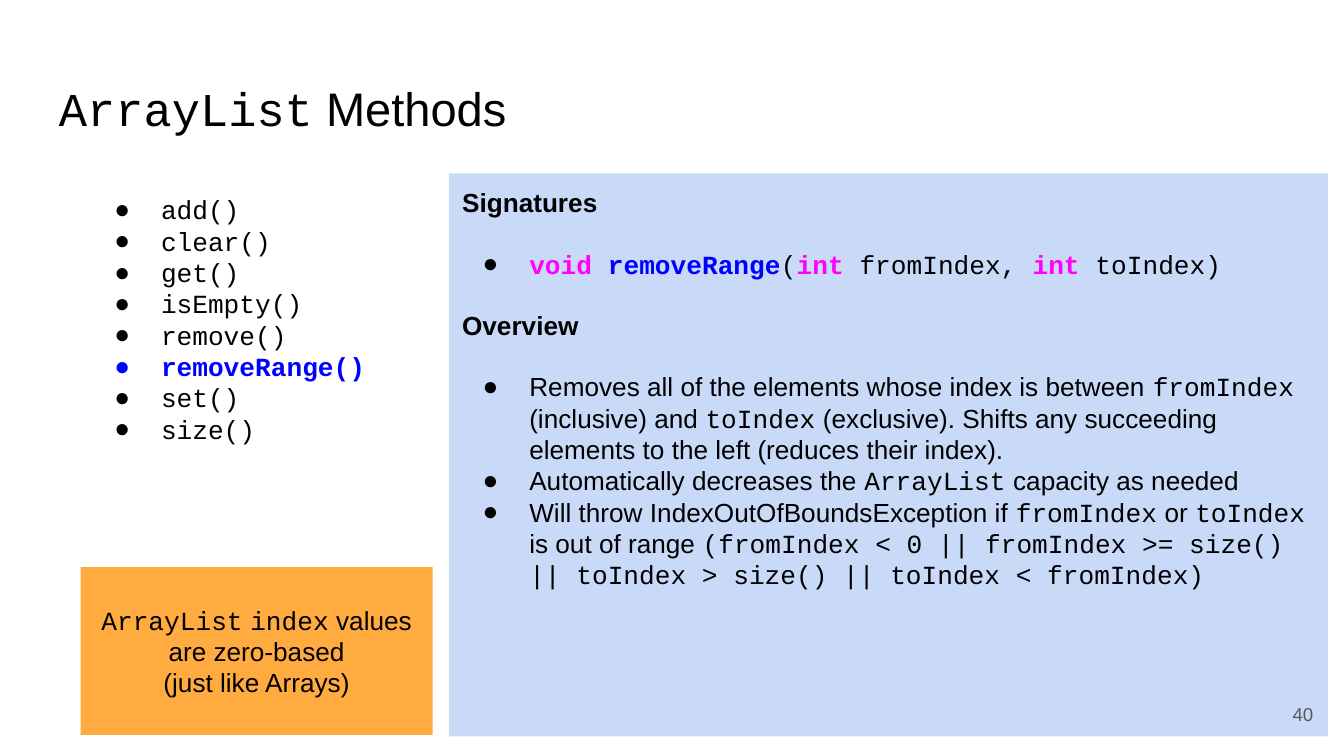
from lxml import etree
from pptx import Presentation
from pptx.dml.color import RGBColor
from pptx.enum.shapes import MSO_SHAPE
from pptx.enum.text import MSO_ANCHOR, PP_ALIGN
from pptx.oxml.ns import qn
from pptx.util import Pt

RECTANGLE = MSO_SHAPE.RECTANGLE
TOP, MIDDLE = MSO_ANCHOR.TOP, MSO_ANCHOR.MIDDLE
LEFT, CENTER, RIGHT = PP_ALIGN.LEFT, PP_ALIGN.CENTER, PP_ALIGN.RIGHT

BLACK = RGBColor(0x00, 0x00, 0x00)
BLUE = RGBColor(0x00, 0x00, 0xFF)
MAGENTA = RGBColor(0xFF, 0x00, 0xFF)
GRAY = RGBColor(0x59, 0x59, 0x59)
PALE_BLUE = RGBColor(0xC9, 0xDA, 0xF8)
ORANGE = RGBColor(0xFF, 0xAB, 0x40)

SANS, MONO = "Arial", "Courier New"
PROSE = (SANS, BLACK, False)
HEADING = (SANS, BLACK, True)
CODE = (MONO, BLACK, False)
KEYWORD = (MONO, MAGENTA, True)
METHOD = (MONO, BLUE, True)
PAGE = (SANS, GRAY, False)

BODY_SIZE = 14
SECTION_GAP = 16


class SlideBuilder:
    def __init__(self, slide):
        self.slide = slide
        self.inset = Pt(7.2)
        self.indent = Pt(36)
        self.hanging = Pt(25)

    def text_box(self, left, top, width, height, anchor=TOP):
        box = self.slide.shapes.add_textbox(Pt(left), Pt(top), Pt(width), Pt(height))
        return self.prepare(box.text_frame, anchor)

    def panel(self, left, top, width, height, fill, anchor=TOP):
        panel = self.slide.shapes.add_shape(
            RECTANGLE, Pt(left), Pt(top), Pt(width), Pt(height))
        panel.shadow.inherit = False
        panel.fill.solid()
        panel.fill.fore_color.rgb = fill
        panel.line.fill.background()
        return self.prepare(panel.text_frame, anchor)

    def prepare(self, frame, anchor):
        frame.word_wrap = True
        frame.vertical_anchor = anchor
        frame.margin_left = frame.margin_right = self.inset
        frame.margin_top = frame.margin_bottom = self.inset
        return frame

    def paragraph(self, frame, parts, size=BODY_SIZE, align=LEFT, before=0, bullet=None):
        first = frame.paragraphs[0]
        paragraph = frame.add_paragraph() if first.runs else first
        paragraph.alignment = align
        paragraph.space_before = Pt(before)
        if bullet is not None:
            self.bullet(paragraph, bullet, size)
        for text, (font, color, bold) in parts:
            if text == "\n":
                paragraph.add_line_break()
                continue
            run = paragraph.add_run()
            run.text = text
            run.font.name = font
            run.font.size = Pt(size)
            run.font.bold = bold
            run.font.color.rgb = color

    def bullet(self, paragraph, color, size):
        properties = paragraph._p.get_or_add_pPr()
        properties.set("marL", str(self.indent))
        properties.set("indent", str(-self.hanging))
        tint = etree.SubElement(properties, qn("a:buClr"))
        etree.SubElement(tint, qn("a:srgbClr"), val=str(color))
        etree.SubElement(properties, qn("a:buSzPts"), val=str(size * 100))
        etree.SubElement(properties, qn("a:buFont"), typeface=SANS)
        etree.SubElement(properties, qn("a:buChar"), char="●")


def main():
    presentation = Presentation()
    presentation.slide_width, presentation.slide_height = Pt(720), Pt(405)
    slide = presentation.slides.add_slide(presentation.slide_layouts[6])
    builder = SlideBuilder(slide)

    title = builder.text_box(24.5, 35.3, 671, 45.4)
    builder.paragraph(title, [("ArrayList", CODE), (" Methods", PROSE)], size=25.2)

    methods = builder.text_box(43.2, 96.5, 163.4, 150.5)
    current = "removeRange"
    for name in ("add", "clear", "get", "isEmpty", "remove", current, "set", "size"):
        style = METHOD if name == current else CODE
        builder.paragraph(methods, [(f"{name}()", style)], bullet=style[1])

    signature = [
        ("void ", KEYWORD), (current, METHOD), ("(", CODE), ("int", KEYWORD),
        (" fromIndex, ", CODE), ("int", KEYWORD), (" toIndex)", CODE),
    ]
    overview = [
        [("Removes all of the elements whose index is between ", PROSE),
         ("fromIndex", CODE), (" (inclusive) and ", PROSE), ("toIndex", CODE),
         (" (exclusive). Shifts any succeeding elements to the left "
          "(reduces their index).", PROSE)],
        [("Automatically decreases the ", PROSE), ("ArrayList", CODE),
         (" capacity as needed", PROSE)],
        [("Will throw IndexOutOfBoundsException if ", PROSE), ("fromIndex", CODE),
         (" or ", PROSE), ("toIndex ", CODE), ("is out of range ", PROSE),
         ("(fromIndex < 0 || fromIndex >= size() || toIndex > size() "
          "|| toIndex < fromIndex)", CODE)],
    ]
    details = builder.panel(240.5, 92.9, 470.9, 301.7, PALE_BLUE)
    sections = (("Signatures", [signature]), ("Overview", overview))
    for section, (heading, items) in enumerate(sections):
        builder.paragraph(details, [(heading, HEADING)],
                          before=SECTION_GAP if section else 0)
        for position, item in enumerate(items):
            builder.paragraph(details, item, bullet=BLACK,
                              before=0 if position else SECTION_GAP)

    index_note = builder.panel(43.2, 303.8, 188.6, 90, ORANGE, MIDDLE)
    builder.paragraph(index_note, [
        ("ArrayList", CODE), (" ", PROSE), ("index", CODE),
        (" values are zero-based", PROSE), ("\n", PROSE),
        ("(just like Arrays)", PROSE),
    ], align=CENTER)

    page_number = builder.text_box(667.4, 367.2, 43.2, 31, MIDDLE)
    builder.paragraph(page_number, [("40", PAGE)], size=10, align=RIGHT)

    presentation.save("out.pptx")


if __name__ == "__main__":
    main()
